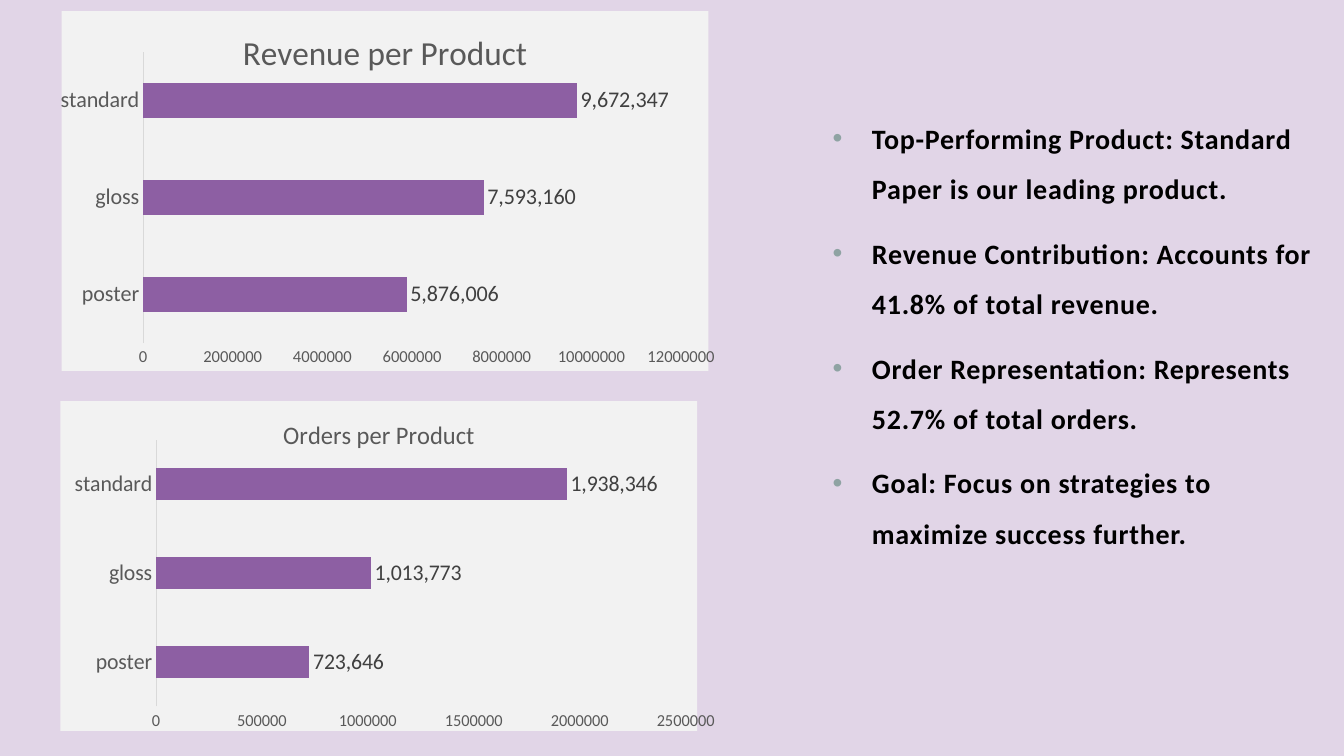
from lxml import etree
from pptx import Presentation
from pptx.chart.data import CategoryChartData
from pptx.dml.color import RGBColor
from pptx.enum.chart import XL_CHART_TYPE, XL_LABEL_POSITION, XL_TICK_MARK
from pptx.oxml import parse_xml
from pptx.oxml.ns import nsdecls, qn
from pptx.util import Inches, Pt

PRODUCTS = ("poster", "gloss", "standard")
CHARTS = (
    {"title": "Revenue per Product", "title_size": 24, "top": 0.11, "height": 3.57,
     "values": (5876006, 7593160, 9672347), "plot": (0.126, 0.114, 0.832, 0.809)},
    {"title": "Orders per Product", "title_size": 18, "top": 3.98, "height": 3.27,
     "values": (723646, 1013773, 1938346), "plot": (0.15, 0.117, 0.832, 0.809)},
)
INSIGHTS = (
    "Top-Performing Product: Standard Paper is our leading product.",
    "Revenue Contribution: Accounts for 41.8% of total revenue.",
    "Order Representation: Represents 52.7% of total orders.",
    "Goal: Focus on strategies to maximize success further.",
)

FONT = "Calibri"
CHART_LEFT, CHART_WIDTH = 0.6, 6.49
INSIGHTS_BOX = (8.16, 0.99, 4.95, 5.74)
BULLET_INDENT = Inches(0.39)
LILAC = RGBColor(0xE1, 0xD5, 0xE7)
PURPLE = RGBColor(0x8D, 0x5F, 0xA3)
PANEL = RGBColor(0xF2, 0xF2, 0xF2)
AXIS_LINE = RGBColor(0xD9, 0xD9, 0xD9)
AXIS_TEXT = RGBColor(0x59, 0x59, 0x59)
LABEL_TEXT = RGBColor(0x40, 0x40, 0x40)
BLACK = RGBColor(0, 0, 0)
BULLET = RGBColor(0x8F, 0xA3, 0xA3)


def style_font(font, size, color, bold=False):
    font.name, font.size, font.bold = FONT, Pt(size), bold
    font.color.rgb = color


def write_text(paragraph, text, size, color, bold=False, spacing=None):
    run = paragraph.add_run()
    run.text = text
    style_font(run.font, size, color, bold)
    if spacing is not None:
        run.font._element.set("spc", str(int(spacing * 100)))


def add_bullet(paragraph):
    properties = paragraph._p.get_or_add_pPr()
    properties.set("marL", str(BULLET_INDENT))
    properties.set("indent", str(-BULLET_INDENT))
    color = etree.SubElement(properties, qn("a:buClr"))
    etree.SubElement(color, qn("a:srgbClr"), val=str(BULLET))
    etree.SubElement(properties, qn("a:buFont"), typeface="Arial")
    etree.SubElement(properties, qn("a:buChar"), char="•")


def fill_panel(chart):
    panel = parse_xml(
        f'<c:spPr {nsdecls("c", "a")}><a:solidFill><a:srgbClr val="{PANEL}"/></a:solidFill>'
        '<a:ln><a:noFill/></a:ln></c:spPr>')
    chart._chartSpace.chart.addnext(panel)


def place_plot(chart, shares):
    plot_area = chart._chartSpace.chart.plotArea
    for automatic_layout in plot_area.findall(qn("c:layout")):
        plot_area.remove(automatic_layout)
    layout = etree.Element(qn("c:layout"))
    manual = etree.SubElement(layout, qn("c:manualLayout"))
    settings = [("layoutTarget", "inner"), ("xMode", "edge"), ("yMode", "edge")]
    settings += zip("xywh", map(str, shares))
    for name, value in settings:
        etree.SubElement(manual, qn(f"c:{name}"), val=value)
    plot_area.insert(0, layout)


def style_axis(axis, size):
    axis.major_tick_mark = axis.minor_tick_mark = XL_TICK_MARK.NONE
    axis.has_major_gridlines = False
    style_font(axis.tick_labels.font, size, AXIS_TEXT)


def add_product_chart(slide, title, title_size, top, height, values, plot):
    data = CategoryChartData(number_format="General")
    data.categories = PRODUCTS
    data.add_series("Series 1", values)
    chart = slide.shapes.add_chart(
        XL_CHART_TYPE.BAR_CLUSTERED, Inches(CHART_LEFT), Inches(top),
        Inches(CHART_WIDTH), Inches(height), data).chart
    style_font(chart.font, 10, BLACK)
    chart.has_legend = False
    write_text(chart.chart_title.text_frame.paragraphs[0], title, title_size, AXIS_TEXT)
    chart.chart_title.include_in_layout = False
    fill_panel(chart)
    place_plot(chart, plot)

    style_axis(chart.category_axis, 16)
    chart.category_axis.format.line.color.rgb = AXIS_LINE
    chart.category_axis.format.line.width = Pt(0.75)
    style_axis(chart.value_axis, 12)
    chart.value_axis.format.line.fill.background()

    bars = chart.plots[0]
    bars.gap_width = 182
    bars.vary_by_categories = False
    bars.series[0].format.fill.solid()
    bars.series[0].format.fill.fore_color.rgb = PURPLE
    labels = bars.series[0].data_labels
    labels.show_value = True
    labels.position = XL_LABEL_POSITION.OUTSIDE_END
    labels.number_format, labels.number_format_is_linked = "#,##0", False
    style_font(labels.font, 16, LABEL_TEXT)


def add_insights(slide):
    frame = slide.shapes.add_textbox(*map(Inches, INSIGHTS_BOX)).text_frame
    frame.word_wrap = True
    for index, insight in enumerate(INSIGHTS):
        paragraph = frame.add_paragraph() if index else frame.paragraphs[0]
        paragraph.line_spacing = 1.5
        paragraph.space_before = Pt(10)
        add_bullet(paragraph)
        write_text(paragraph, insight, 20, BLACK, bold=True, spacing=0.5)


def main():
    """Build the product performance slide."""
    presentation = Presentation()
    presentation.slide_width, presentation.slide_height = Inches(13.33), Inches(7.5)
    slide = presentation.slides.add_slide(presentation.slide_layouts[6])
    slide.background.fill.solid()
    slide.background.fill.fore_color.rgb = LILAC
    add_insights(slide)
    for chart in CHARTS:
        add_product_chart(slide, **chart)
    presentation.save("out.pptx")


if __name__ == "__main__":
    main()
